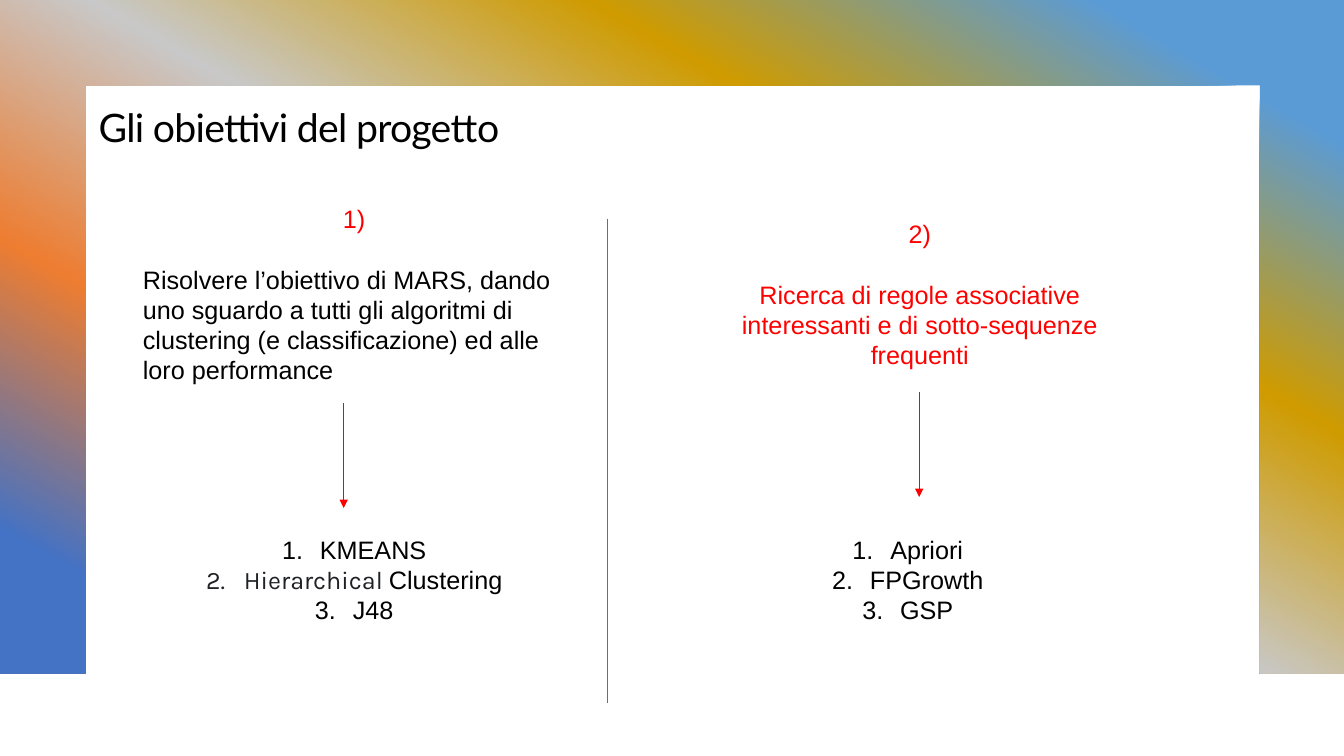
from typing import NamedTuple

from lxml.etree import SubElement as Sub
from pptx import Presentation
from pptx.dml.color import RGBColor as RGB
from pptx.enum.shapes import MSO_CONNECTOR as Link
from pptx.enum.text import PP_ALIGN as Align
from pptx.oxml.ns import qn
from pptx.util import Pt

RED, BLACK, GREY, BLUE = "FF0000", "000000", "202124", "4472C4"


class Run(NamedTuple):
    text: str
    color: str = BLACK
    font: str = "Arial"


class Para(NamedTuple):
    runs: list[Run]
    align: Align = Align.CENTER
    before: float = 0
    num: bool = False


class Box(NamedTuple):
    left: float
    top: float
    width: float
    height: float
    paras: list[Para]


class Line(NamedTuple):
    x: float
    top: float
    end: float
    color: str = RED
    arrow: bool = True


def paint(code: str) -> RGB:
    return RGB.from_string(code)


def item(*runs: Run) -> Para:
    return Para(list(runs), num=True)


def goal(mark: str, text: str, color: str, align: Align) -> list[Para]:
    return [Para([Run(mark, RED)]), Para([Run(text, color)], align, before=21.6)]


def write(slide, box: Box, *, size: float = 18, gap: float = 1, track: int = 0) -> None:
    """Place a text box; track is letter spacing in hundredths of a point."""
    area = slide.shapes.add_textbox(Pt(box.left), Pt(box.top), Pt(box.width), Pt(box.height))
    frame = area.text_frame
    frame.word_wrap = True
    for i, para in enumerate(box.paras):
        p = frame.add_paragraph() if i else frame.paragraphs[0]
        p.alignment, p.line_spacing, p.space_before = para.align, gap, Pt(para.before)
        if para.num:
            props = p._p.get_or_add_pPr()
            props.set("marL", str(Pt(27)))
            props.set("indent", str(Pt(-27)))
            Sub(props, qn("a:buFont"), typeface="+mj-lt")
            Sub(props, qn("a:buAutoNum"), type="arabicPeriod")
        for part in para.runs:
            r = p.add_run()
            r.text = part.text
            r.font.size, r.font.name = Pt(size), part.font
            r.font.color.rgb = paint(part.color)
            if track:
                r._r.get_or_add_rPr().set("spc", str(track))


def draw(slide, line: Line) -> None:
    link = slide.shapes.add_connector(
        Link.STRAIGHT, Pt(line.x), Pt(line.top), Pt(line.x), Pt(line.end))
    link.line.width = Pt(0.5)
    link.line.color.rgb = paint(line.color)
    if line.arrow:
        Sub(link.line._get_or_add_ln(), qn("a:tailEnd"), type="triangle")
    Sub(link._element.spPr, qn("a:effectLst"))


def frame(slide) -> None:
    pen = slide.shapes.build_freeform(0, 0, scale=Pt(1))
    pen.add_line_segments([(960, 0), (960, 481), (900, 481), (900, 61),
                           (61, 61), (61, 481), (0, 481)])
    edge = pen.convert_to_shape()
    edge.shadow.inherit = False
    edge.line.fill.background()
    edge.fill.gradient()
    grad = edge._element.spPr.find(qn("a:gradFill"))
    stops = grad.find(qn("a:gsLst"))
    for old in list(stops):
        stops.remove(old)
    for i, code in enumerate(("5B9BD5", "CF9B00", "C8C8C8", "ED7D31", BLUE)):
        stop = Sub(stops, qn("a:gs"), pos=str(10000 + 20000 * i))
        Sub(stop, qn("a:srgbClr"), val=code)
    slant = grad.find(qn("a:lin"))
    slant.set("ang", str(120 * 60000))
    slant.set("scaled", "0")


TITLE = Box(63.4, 72.7, 730.8, 69.1,
            [Para([Run("Gli obiettivi del progetto", font="Lato")], Align.LEFT)])

BOXES = [
    Box(95, 141.8, 316, 138.2, goal(
        "1)", "Risolvere l’obiettivo di MARS, dando uno sguardo a tutti gli algoritmi "
        "di clustering (e classificazione) ed alle loro performance", BLACK, Align.LEFT)),
    Box(118, 378, 270, 116.6, [
        item(Run("KMEANS")),
        item(Run("Hierarchical ", GREY, "Karla"), Run("Clustering")),
        item(Run("J48"))]),
    Box(499, 152.6, 316, 116.6, goal(
        "2)", "Ricerca di regole associative interessanti e di sotto-sequenze frequenti",
        RED, Align.CENTER)),
    Box(513.4, 378, 270, 116.6,
        [item(Run(name)) for name in ("Apriori", "FPGrowth", "GSP")]),
]

LINES = [
    Line(434.2, 156.2, 501.8, BLUE, arrow=False),
    Line(245.5, 288, 362.9),
    Line(656.6, 280, 355),
]


def main() -> None:
    deck = Presentation()
    deck.slide_width, deck.slide_height = Pt(960), Pt(540)
    slide = deck.slides.add_slide(deck.slide_layouts[6])

    # Gradient border, open at the bottom
    frame(slide)

    # Title, goals and algorithm lists
    write(slide, TITLE, size=28, gap=0.95, track=-50)
    for box in BOXES:
        write(slide, box)

    # Divider and arrows
    for line in LINES:
        draw(slide, line)

    deck.save("out.pptx")


if __name__ == "__main__":
    main()
